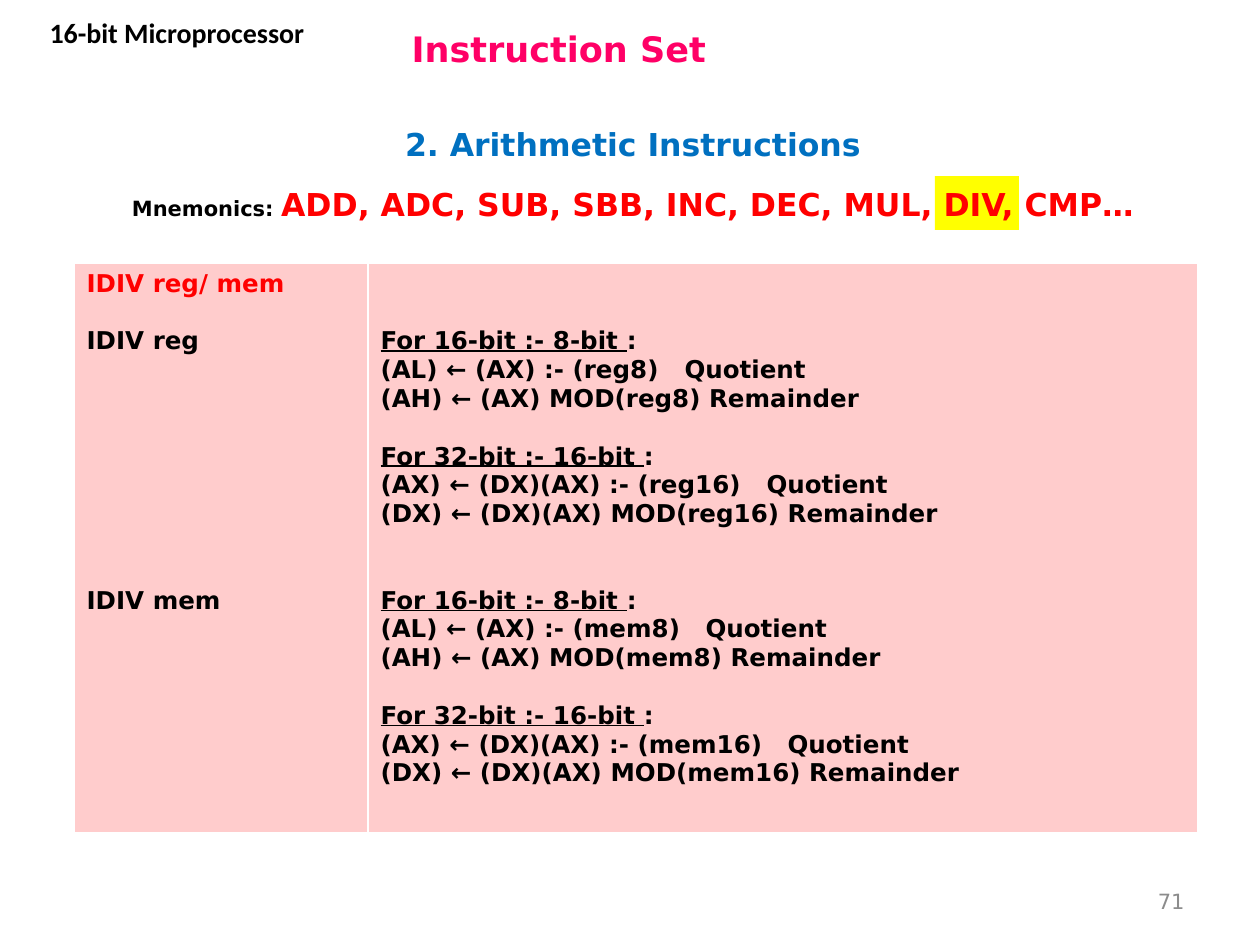
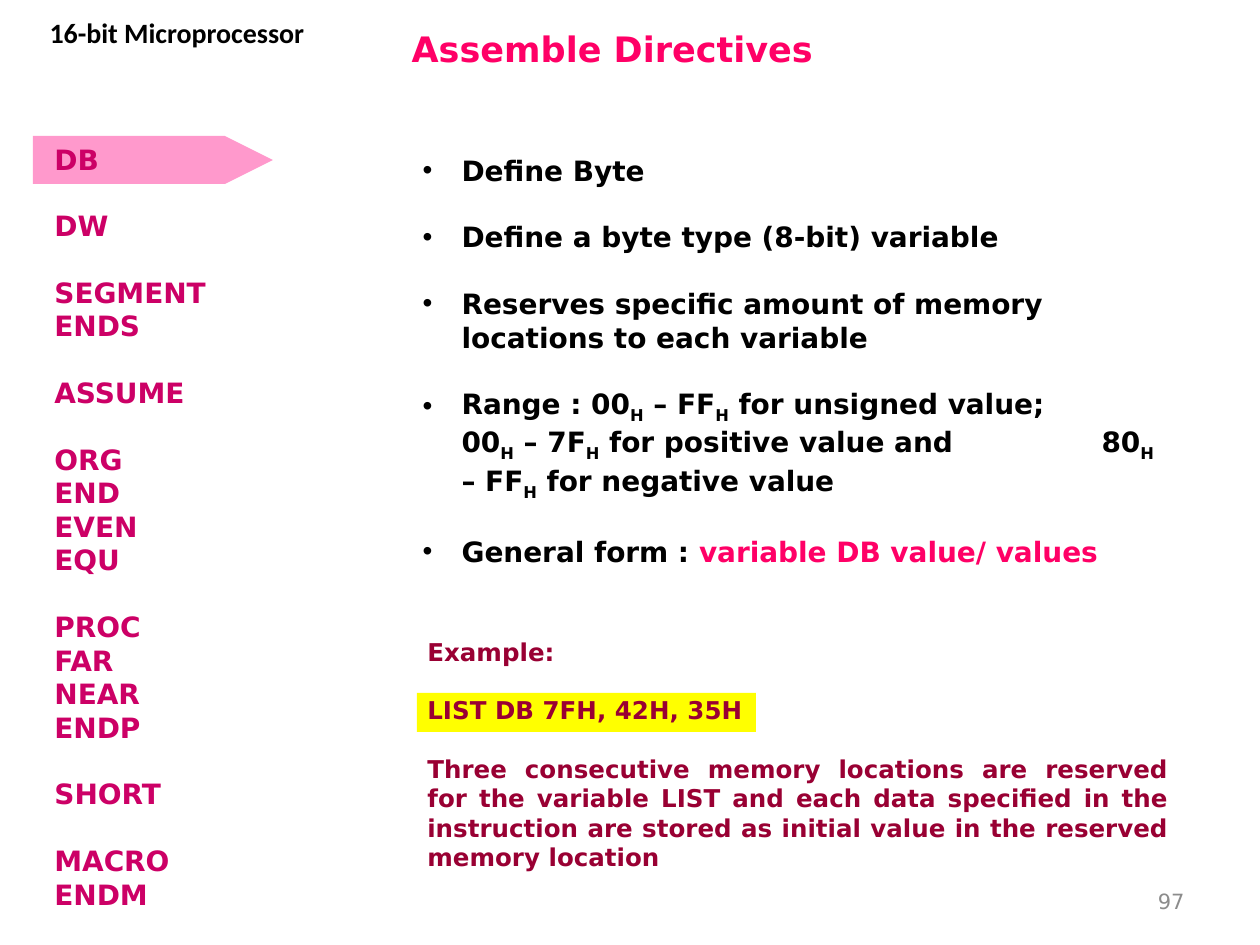
from dataclasses import dataclass, replace

from lxml.etree import SubElement
from pptx import Presentation
from pptx.dml.color import RGBColor
from pptx.enum.shapes import MSO_SHAPE
from pptx.enum.text import MSO_ANCHOR, MSO_AUTO_SIZE, PP_ALIGN
from pptx.oxml.ns import qn
from pptx.util import Pt

EMU_PER_PX = 914400 / 126
LINE_HEIGHT = 1.18  # height of a text line relative to its font size

BLACK = RGBColor(0x00, 0x00, 0x00)
GREY = RGBColor(0x8C, 0x8C, 0x8C)
RED = RGBColor(0xFF, 0x00, 0x00)
BLUE = RGBColor(0x00, 0x70, 0xC0)
PINK = RGBColor(0xFF, 0x00, 0x66)
MAGENTA = RGBColor(0xCC, 0x00, 0x66)
MAROON = RGBColor(0x99, 0x00, 0x33)
YELLOW = RGBColor(0xFF, 0xFF, 0x00)
ROSE = RGBColor(0xFF, 0x99, 0xCC)
PALE_PINK = RGBColor(0xFF, 0xCC, 0xCC)

BREAK = "\n"


@dataclass(frozen=True)
class Style:
    size: int
    color: RGBColor = BLACK
    font: str = "DejaVu Sans"
    bold: bool = True
    underline: bool = False
    subscript: bool = False


@dataclass
class Line:
    runs: list  # (text, style) pairs
    gap: int = 0  # space before, in text lines
    tab: int = 0  # tab stop in px


TITLE = Style(20, PINK)
COURSE = Style(16, font="Calibri")
PAGE_NUMBER = Style(12, GREY, bold=False)
TABLE_TEXT = Style(14)
BULLET = Style(16)


def px(length):
    return round(length * EMU_PER_PX)


def box(left, top, width, height):
    return px(left), px(top), px(width), px(height)


# Text
def write_run(paragraph, text, style):
    if text == BREAK:
        paragraph.add_line_break()
        SubElement(paragraph._p[-1], qn("a:rPr"), sz=str(style.size * 100))
        return
    run = paragraph.add_run()
    run.text = text
    font = run.font
    font.name, font.size, font.bold = style.font, Pt(style.size), style.bold
    font.color.rgb = style.color
    if style.underline:
        font.underline = True
    if style.subscript:
        run._r.get_or_add_rPr().set("baseline", "-25000")


def write(text_frame, lines, align=PP_ALIGN.LEFT, hanging=0):
    for index, line in enumerate(lines):
        paragraph = text_frame.paragraphs[0] if index == 0 else text_frame.add_paragraph()
        paragraph.alignment = align
        properties = paragraph._p.get_or_add_pPr()
        if hanging:
            properties.set("marL", str(px(hanging)))
            properties.set("indent", str(-px(hanging)))
        if line.tab:
            tabs = SubElement(properties, qn("a:tabLst"))
            SubElement(tabs, qn("a:tab"), pos=str(px(line.tab)), algn="l")
        paragraph.space_before = Pt(round(line.gap * line.runs[0][1].size * LINE_HEIGHT, 1))
        for text, style in line.runs:
            write_run(paragraph, text, style)


def grouped_lines(groups, style):
    """One line per word, with a blank line's space between groups."""
    return [
        Line([(text, style)], gap=int(group > 0 and row == 0))
        for group, texts in enumerate(groups)
        for row, text in enumerate(texts)
    ]


def subscripted(text, style):
    """Runs of a text whose subscripts stand between underscores."""
    below = replace(style, subscript=True)
    return [(piece, below if index % 2 else style)
            for index, piece in enumerate(text.split("_"))]


def add_text(slide, bounds, lines, align=PP_ALIGN.LEFT, anchor=MSO_ANCHOR.TOP):
    text_frame = slide.shapes.add_textbox(*box(*bounds)).text_frame
    text_frame.word_wrap = True
    text_frame.vertical_anchor = anchor
    write(text_frame, lines, align)


def fill_placeholder(placeholder, bounds, lines, anchor, hanging=0):
    placeholder.left, placeholder.top, placeholder.width, placeholder.height = box(*bounds)
    text_frame = placeholder.text_frame
    text_frame.auto_size = MSO_AUTO_SIZE.NONE
    text_frame.vertical_anchor = anchor
    write(text_frame, lines, hanging=hanging)


# Shapes
def add_block(slide, kind, bounds, color, rotation=0):
    shape = slide.shapes.add_shape(kind, *box(*bounds))
    shape.shadow.inherit = False
    shape.fill.solid()
    shape.fill.fore_color.rgb = color
    shape.line.fill.background()
    shape.rotation = rotation


def add_base_slide(presentation, layout, title, number):
    """Slide with the title, course name and page number."""
    slide = presentation.slides.add_slide(presentation.slide_layouts.get_by_name(layout))
    fill_placeholder(slide.shapes.title, (399, 15, 829, 67),
                     [Line([(title, TITLE)])], MSO_ANCHOR.MIDDLE)
    add_text(slide, (9, 9, 336, 81), [Line([("16-bit Microprocessor", COURSE)])],
             PP_ALIGN.CENTER)
    add_text(slide, (903, 876, 294, 50), [Line([(str(number), PAGE_NUMBER)])],
             PP_ALIGN.RIGHT, MSO_ANCHOR.MIDDLE)
    return slide


# Instruction table
def division(bits, dividend, quotient, remainder, operand, gap, tab):
    heading = f"For {2 * bits}-bit :- {bits}-bit "
    return [
        Line([(heading, replace(TABLE_TEXT, underline=True)), (":", TABLE_TEXT)], gap),
        Line([(f"({quotient}) ← {dividend} :- ({operand}{bits})\tQuotient", TABLE_TEXT)], tab=tab),
        Line([(f"({remainder}) ← {dividend} MOD({operand}{bits}) Remainder", TABLE_TEXT)]),
    ]


def add_division_table(slide):
    table = slide.shapes.add_table(1, 2, *box(74, 263, 1124, 570)).table
    for column, width in zip(table.columns, (294, 830)):
        column.width = px(width)
    forms, operations = table.rows[0].cells
    for cell in (forms, operations):
        cell.fill.solid()
        cell.fill.fore_color.rgb = PALE_PINK
    write(forms.text_frame, [
        Line([("IDIV reg/ mem", replace(TABLE_TEXT, color=RED))]),
        Line([("IDIV reg", TABLE_TEXT)], gap=1),
        Line([("IDIV mem", TABLE_TEXT)], gap=8),
    ])
    operations.margin_top = px(64)  # lines the first operation up with IDIV reg
    lines = []
    for operand, gap, tabs in (("reg", 0, (304, 386)), ("mem", 2, (325, 407))):
        lines += division(8, "(AX)", "AL", "AH", operand, gap, tabs[0])
        lines += division(16, "(DX)(AX)", "AX", "DX", operand, 1, tabs[1])
    write(operations.text_frame, lines)


def build_instruction_slide(presentation):
    slide = add_base_slide(presentation, "Title Only", "Instruction Set", 71)
    add_block(slide, MSO_SHAPE.RECTANGLE, (935, 176, 84, 54), YELLOW)
    add_text(slide, (37, 117, 1192, 54),
             [Line([("2. Arithmetic Instructions", Style(18, BLUE))])],
             PP_ALIGN.CENTER, MSO_ANCHOR.MIDDLE)
    add_text(slide, (37, 179, 1192, 50), [Line([
        ("Mnemonics: ", Style(12)),
        ("ADD, ADC, SUB, SBB, INC, DEC, MUL, DIV, CMP…", Style(18, RED)),
    ])], PP_ALIGN.CENTER)
    add_division_table(slide)


def build_directive_slide(presentation):
    slide = add_base_slide(presentation, "Title and Content", "Assemble Directives", 97)
    add_block(slide, MSO_SHAPE.RECTANGLE, (417, 693, 339, 39), YELLOW)
    add_block(slide, MSO_SHAPE.FLOWCHART_OFFPAGE_CONNECTOR, (129, 40, 48, 240), ROSE, 270)

    # Directive list
    directives = (
        ("DB",), ("DW",), ("SEGMENT", "ENDS"), ("ASSUME",),
        ("ORG", "END", "EVEN", "EQU"), ("PROC", "FAR", "NEAR", "ENDP"),
        ("SHORT",), ("MACRO", "ENDM"),
    )
    add_text(slide, (42, 136, 205, 793), grouped_lines(directives, Style(16, MAGENTA)))

    # Meaning of DB
    value_range = (
        subscripted("Range : 00_H_ – FF_H_ for unsigned value;", BULLET)
        + [(BREAK, BULLET)]
        + subscripted("00_H_ – 7F_H_ for positive value and\t80_H_ – FF_H_ for negative value",
                      BULLET)
    )
    meaning = grouped_lines((
        ("Define Byte",),
        ("Define a byte type (8-bit) variable",),
        ("Reserves specific amount of memory locations to each variable",),
    ), BULLET)
    meaning += [
        Line(value_range, gap=1, tab=679),
        Line([("General form : ", BULLET),
              ("variable DB value/ values", replace(BULLET, color=PINK))], gap=1),
    ]
    fill_placeholder(slide.placeholders[1], (410, 147, 777, 454), meaning,
                     MSO_ANCHOR.TOP, hanging=39)

    # Example
    example = (
        ("Example:",),
        ("LIST DB 7FH, 42H, 35H",),
        ("Three consecutive memory locations are reserved for the variable LIST and each "
         "data specified in the instruction are stored as initial value in the reserved "
         "memory location",),
    )
    add_text(slide, (415, 631, 766, 251), grouped_lines(example, Style(14, MAROON)),
             PP_ALIGN.JUSTIFY)


def main():
    presentation = Presentation()
    presentation.slide_width, presentation.slide_height = px(1260), px(945)
    build_instruction_slide(presentation)
    build_directive_slide(presentation)
    presentation.save("out.pptx")


if __name__ == "__main__":
    main()
